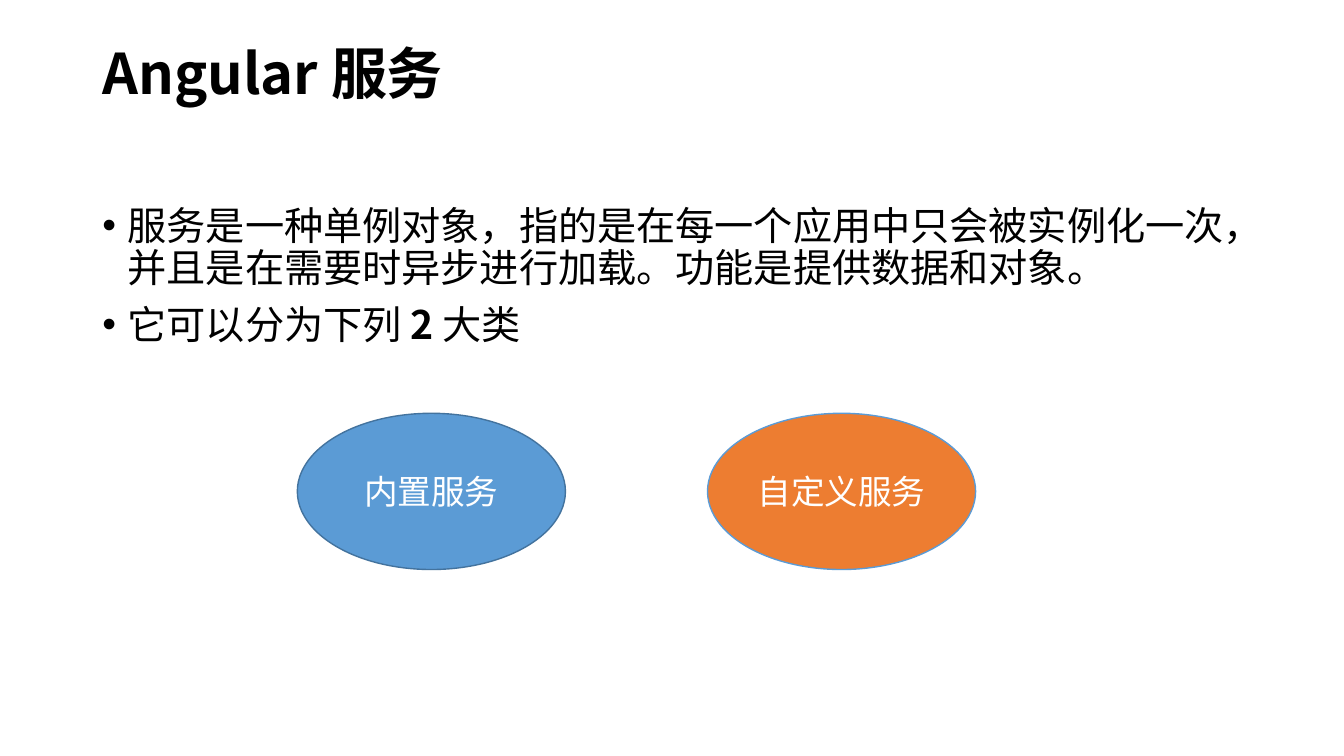
from dataclasses import dataclass

from lxml.etree import SubElement
from pptx import Presentation
from pptx.dml.color import RGBColor
from pptx.enum.shapes import MSO_SHAPE as Shape
from pptx.enum.text import MSO_ANCHOR as Anchor, MSO_AUTO_SIZE as AutoSize, PP_ALIGN as Align
from pptx.oxml.ns import qn
from pptx.util import Pt

FONT = "Noto Sans CJK SC"
COLORS = {
    "text": "000000",
    "label": "FFFFFF",
    "blue": "5B9BD5",
    "dark_blue": "43739E",
    "orange": "ED7D31",
}
MARGIN, CONTENT_WIDTH = 66, 828
OVAL_TOP, OVAL_WIDTH, OVAL_HEIGHT = 295.2, 191.5, 111.6
BULLET_INDENT = 18


@dataclass
class Category:
    label: str
    left: float
    fill: str
    line: str


CATEGORIES = [
    Category("内置服务", 212.4, "blue", "dark_blue"),
    Category("自定义服务", 505.4, "orange", "blue"),
]
# Each bullet is a list of (text, bold) pieces
BULLETS = [
    [("服务是一种单例对象，指的是在每一个应用中只会被实例化一次，并且是在需要时异步进行加载。功能是提供数据和对象。", False)],
    [("它可以分为下列 ", False), ("2 ", True), ("大类", False)],
]


def rgb(name: str) -> RGBColor:
    return RGBColor.from_string(COLORS[name])


def style_run(run, size: float, color: str, bold: bool = False) -> None:
    font = run.font
    font.name, font.size, font.bold = FONT, Pt(size), bold
    font.color.rgb = rgb(color)
    # East Asian characters take their own typeface setting
    SubElement(font._element, qn("a:ea"), typeface=FONT)


def place(holder, top: float, height: float, anchor: Anchor) -> None:
    holder.left, holder.top = Pt(MARGIN), Pt(top)
    holder.width, holder.height = Pt(CONTENT_WIDTH), Pt(height)
    frame = holder.text_frame
    frame.word_wrap, frame.auto_size = True, AutoSize.NONE
    frame.vertical_anchor = anchor


def fill_title(title) -> None:
    place(title, 2.2, 104.4, Anchor.MIDDLE)
    title.text_frame.text = "Angular 服务"
    heading = title.text_frame.paragraphs[0]
    heading.alignment, heading.line_spacing = Align.LEFT, 0.9
    style_run(heading.runs[0], 40, "text", bold=True)


def fill_body(body) -> None:
    place(body, 144, 342.7, Anchor.TOP)
    frame = body.text_frame
    for index, pieces in enumerate(BULLETS):
        bullet = frame.add_paragraph() if index else frame.paragraphs[0]
        bullet.line_spacing, bullet.space_before = 0.9, Pt(10)
        properties = bullet._p.get_or_add_pPr()
        properties.set("marL", str(Pt(BULLET_INDENT)))
        properties.set("indent", str(-Pt(BULLET_INDENT)))
        SubElement(properties, qn("a:buFont"), typeface="Arial")
        SubElement(properties, qn("a:buChar"), char="•")
        for text, bold in pieces:
            run = bullet.add_run()
            run.text = text
            style_run(run, 28, "text", bold)


def draw_category(slide, category: Category) -> None:
    oval = slide.shapes.add_shape(
        Shape.OVAL, Pt(category.left), Pt(OVAL_TOP), Pt(OVAL_WIDTH), Pt(OVAL_HEIGHT))
    oval.shadow.inherit = False
    oval.fill.solid()
    oval.fill.fore_color.rgb = rgb(category.fill)
    oval.line.color.rgb = rgb(category.line)
    oval.line.width = Pt(1)
    frame = oval.text_frame
    frame.word_wrap, frame.vertical_anchor = True, Anchor.MIDDLE
    frame.text = category.label
    label = frame.paragraphs[0]
    label.alignment = Align.CENTER
    style_run(label.runs[0], 24, "label")


def main() -> None:
    deck = Presentation()
    deck.slide_width, deck.slide_height = Pt(960), Pt(540)
    slide = deck.slides.add_slide(deck.slide_layouts[1])

    # Title and bullet list
    fill_title(slide.shapes.title)
    fill_body(slide.placeholders[1])

    # The two kinds of service
    for category in CATEGORIES:
        draw_category(slide, category)

    deck.save("out.pptx")


if __name__ == "__main__":
    main()
